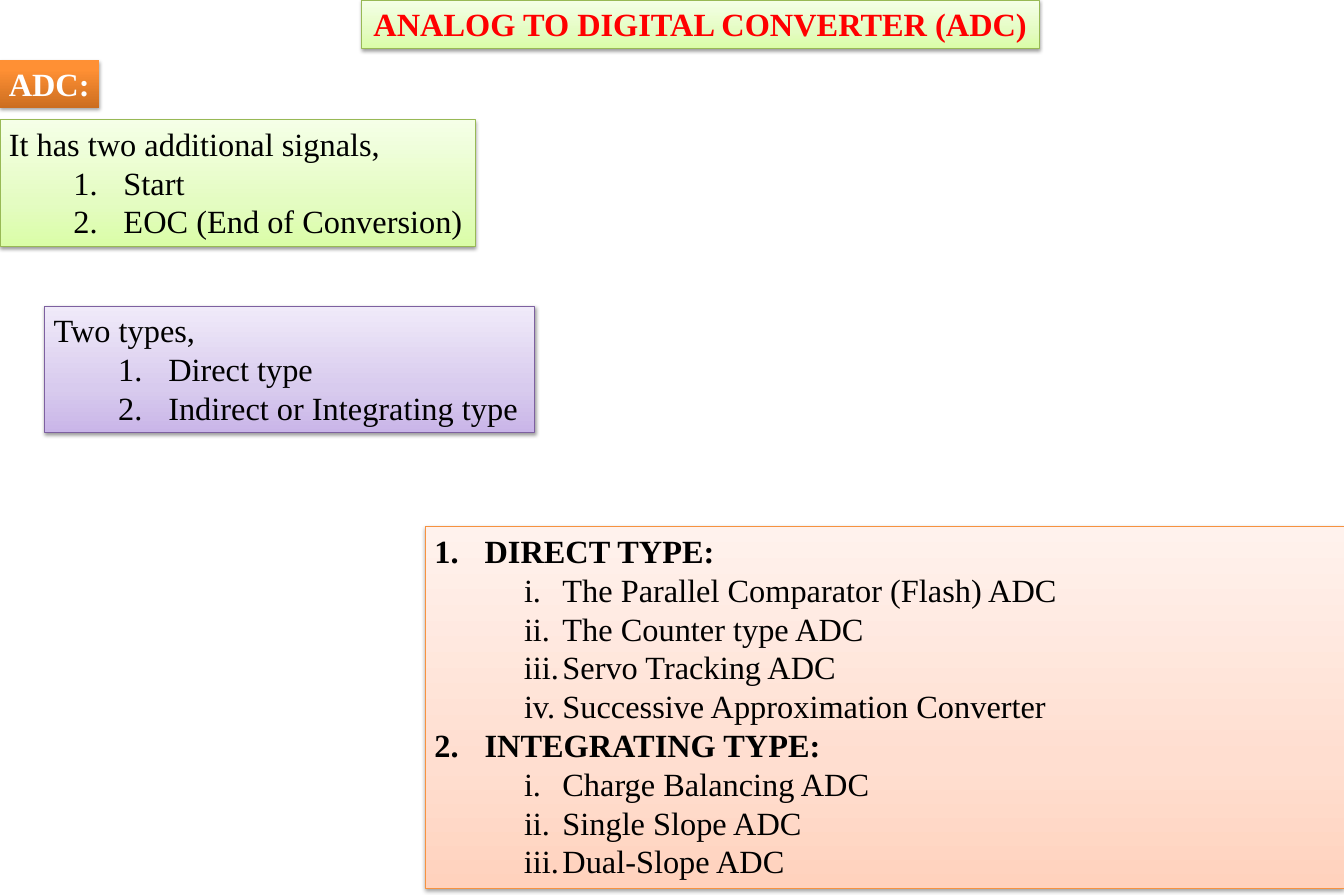
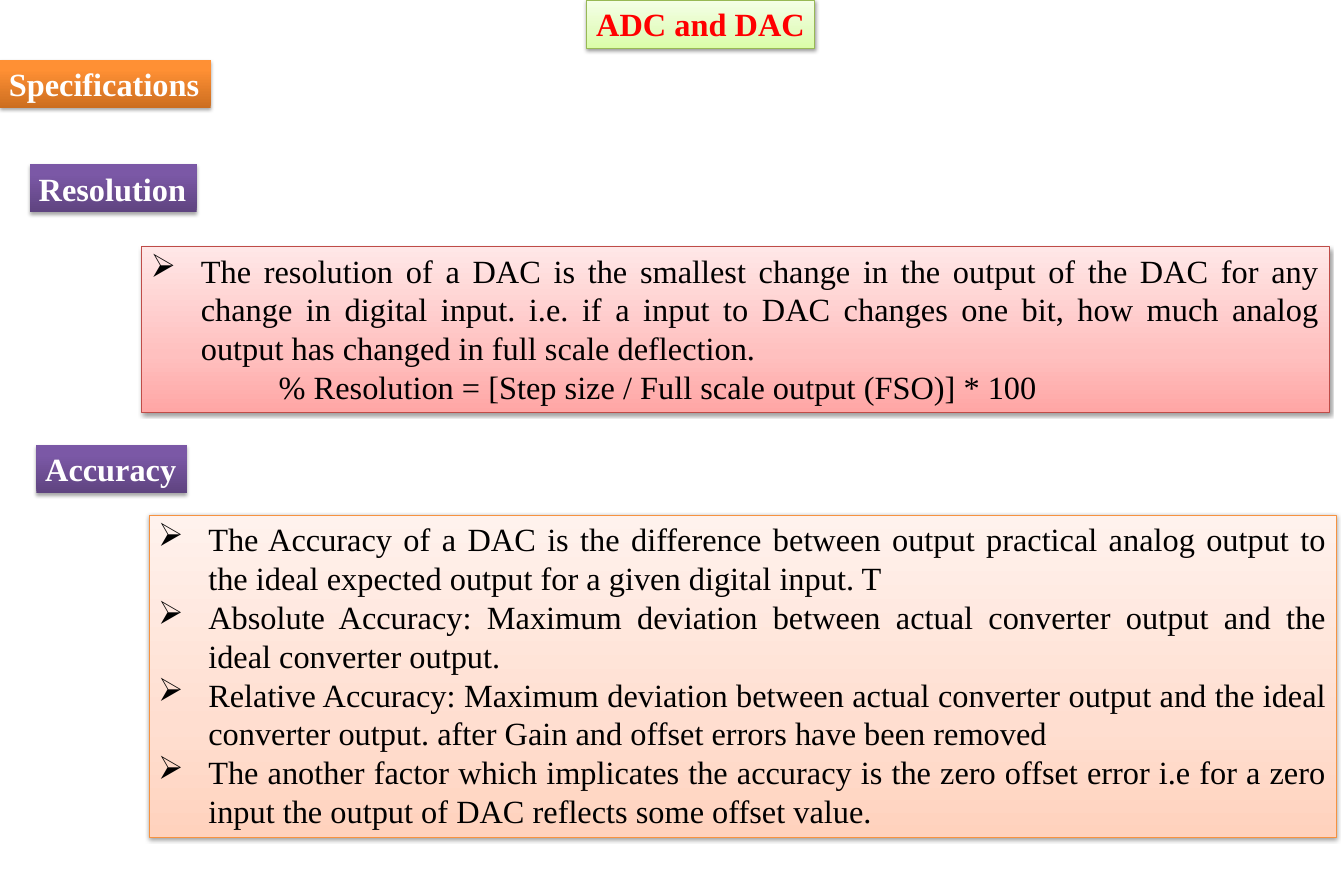
from lxml import etree
from pptx import Presentation
from pptx.dml.color import RGBColor
from pptx.enum.shapes import MSO_SHAPE
from pptx.enum.text import MSO_ANCHOR, MSO_AUTO_SIZE, PP_ALIGN
from pptx.oxml.ns import qn
from pptx.util import Pt

RECTANGLE = MSO_SHAPE.RECTANGLE
TOP = MSO_ANCHOR.TOP
GROW = MSO_AUTO_SIZE.SHAPE_TO_FIT_TEXT
LEFT, CENTER, JUSTIFY = PP_ALIGN.LEFT, PP_ALIGN.CENTER, PP_ALIGN.JUSTIFY

SLIDE_WIDTH, SLIDE_HEIGHT = 1080, 720
FONT, SIZE = "Times New Roman", 26
LINE_HEIGHT, PADDING = 31.5, 7.2
TITLE_CENTER = 563
SECTION_TOP = 48
TAB_SIZE = 102.86
BLACK, WHITE, RED = "000000", "FFFFFF", "FF0000"

LIGHT_STOPS, STRONG_STOPS = (0, 35, 100), (0, 80, 100)
LIGHT_SHADOW, STRONG_SHADOW = (38, 1.6), (35, 1.8)
GREEN = (("DAFDA7", "E4FCC2", "F5FFE7"), "98B955")
LILAC = (("C9B5E8", "D8CBEE", "F0EAF9"), "7D60A0")
PEACH = (("FFD2BD", "FFDED0", "FFF2ED"), "F69240")
PINK = (("FFA6A5", "FFC0BF", "FFE7E7"), "BF4C48")
ORANGE = (("CC6E20", "FF9034", "FF9136"), None)
PURPLE = (("5F4480", "7B58A6", "7C57A8"), None)

PLAIN = {}
NUMBERED = dict(level=1, indent=92.16, hanging=40.32, numbering="arabicPeriod")
HEADING = dict(align=JUSTIFY, bold=True, indent=40.32, hanging=40.32, numbering="arabicPeriod")
ROMAN = dict(align=JUSTIFY, indent=98.64, hanging=26.64, numbering="romanLcPeriod")
ARROW = dict(align=JUSTIFY, indent=40.32, hanging=40.32, bullet="➢")


def rgb(value):
    return RGBColor.from_string(value)


def add_child(parent, tag, **attributes):
    return etree.SubElement(parent, qn(tag), {key: str(value) for key, value in attributes.items()})


def write(paragraph, text, color=BLACK, bold=False, align=LEFT, level=0,
          indent=0, hanging=0, bullet=None, numbering=None, start=1):
    paragraph.alignment = align
    paragraph.level = level
    run = paragraph.add_run()
    run.text = text
    run.font.name = FONT
    run.font.size = Pt(SIZE)
    run.font.bold = bold
    run.font.color.rgb = rgb(color)
    properties = paragraph._p.get_or_add_pPr()
    properties.set("marL", str(Pt(indent)))
    properties.set("indent", str(-Pt(hanging)))
    properties.set("defTabSz", str(Pt(TAB_SIZE)))
    if numbering:
        number = add_child(properties, "a:buAutoNum", type=numbering)
        if start > 1:
            number.set("startAt", str(start))
    elif bullet:
        add_child(properties, "a:buChar", char=bullet)
    else:
        add_child(properties, "a:buNone")


def apply_gradient(shape, colors, positions):
    shape.fill.gradient()
    shape.fill.gradient_angle = 90
    stops = shape.element.spPr.find(qn("a:gradFill")).find(qn("a:gsLst"))
    for stop in list(stops):
        stops.remove(stop)
    for color, position in zip(colors, positions):
        add_child(add_child(stops, "a:gs", pos=position * 1000), "a:srgbClr", val=color)


def apply_shadow(shape, opacity, distance):
    shape.shadow.inherit = False
    effects = shape.element.spPr.find(qn("a:effectLst"))
    shadow = add_child(effects, "a:outerShdw", blurRad=Pt(3.1), dist=Pt(distance),
                       dir=90 * 60000, rotWithShape=0)
    add_child(add_child(shadow, "a:srgbClr", val=BLACK), "a:alpha", val=opacity * 1000)


def add_box(slide, left, top, width, lines, theme, paragraphs, wrap=False):
    colors, border = theme
    shape = slide.shapes.add_shape(RECTANGLE, Pt(left), Pt(top), Pt(width),
                                   Pt(PADDING + lines * LINE_HEIGHT))
    apply_gradient(shape, colors, LIGHT_STOPS if border else STRONG_STOPS)
    if border:
        shape.line.color.rgb = rgb(border)
        shape.line.width = Pt(0.75)
    else:
        shape.line.fill.background()
    apply_shadow(shape, *(LIGHT_SHADOW if border else STRONG_SHADOW))
    frame = shape.text_frame
    frame.word_wrap = wrap
    frame.auto_size = GROW
    frame.vertical_anchor = TOP
    for index, (text, style) in enumerate(paragraphs):
        paragraph = frame.add_paragraph() if index else frame.paragraphs[0]
        write(paragraph, text, **style)


def add_label(slide, left, top, width, theme, text):
    add_box(slide, left, top, width, 1, theme, [(text, dict(color=WHITE, bold=True))])


def add_list(slide, left, top, width, theme, intro, items):
    paragraphs = [(intro, PLAIN)] + [(item, NUMBERED) for item in items]
    add_box(slide, left, top, width, len(paragraphs), theme, paragraphs)


def add_outline(slide, left, top, width, theme, groups):
    paragraphs = []
    for number, (heading, items) in enumerate(groups, 1):
        paragraphs.append((heading, dict(HEADING, start=number)))
        paragraphs += [("\t" + item, ROMAN) for item in items]
    add_box(slide, left, top, width, len(paragraphs), theme, paragraphs, wrap=True)


def add_topic_slide(presentation, title, title_width, section, section_width):
    slide = presentation.slides.add_slide(presentation.slide_layouts[6])
    add_box(slide, TITLE_CENTER - title_width / 2, 0, title_width, 1, GREEN,
            [(title, dict(color=RED, bold=True, align=CENTER))])
    add_label(slide, 0, SECTION_TOP, section_width, ORANGE, section)
    return slide


def add_types_slide(presentation):
    slide = add_topic_slide(presentation, "ANALOG TO DIGITAL CONVERTER (ADC)", 544.4, "ADC:", 80)
    add_list(slide, 0, 96, 382.2, GREEN, "It has two additional signals,",
             ["Start", "EOC (End of Conversion)"])
    add_list(slide, 36, 246, 393.8, LILAC, "Two types,",
             ["Direct type", "Indirect or Integrating type"])
    add_outline(slide, 342, 423.2, SLIDE_WIDTH - 342, PEACH, [
        ("DIRECT TYPE:", ["The Parallel Comparator (Flash) ADC", "The Counter type ADC",
                          "Servo Tracking ADC", "Successive Approximation Converter"]),
        ("INTEGRATING TYPE:", ["Charge Balancing ADC", "Single Slope ADC", "Dual-Slope ADC"]),
    ])


def add_specifications_slide(presentation):
    slide = add_topic_slide(presentation, "ADC and DAC", 183.6, "Specifications", 169.2)
    add_label(slide, 24, 132, 134, PURPLE, "Resolution")
    add_box(slide, 114, 198, 954, 4, PINK, [
        ("The resolution of a DAC is the smallest change in the output of the DAC for any "
         "change in digital input. i.e. if a input to DAC changes one bit, how much analog "
         "output has changed in full scale deflection.", ARROW),
        ("\t% Resolution = [Step size / Full scale output (FSO)] * 100", PLAIN),
    ], wrap=True)
    add_label(slide, 29.2, 357.5, 121, PURPLE, "Accuracy")
    accuracy = [
        "The Accuracy of a DAC is the difference between output practical analog output to "
        "the ideal expected output for a given digital input. T",
        "Absolute Accuracy: Maximum deviation between actual converter output and the "
        "ideal converter output.",
        "Relative Accuracy: Maximum deviation between actual converter output and the ideal "
        "converter output. after Gain and offset errors have been removed",
        "The another factor which implicates the accuracy is the zero offset error i.e for a "
        "zero input the output of DAC reflects some offset value.",
    ]
    add_box(slide, 120, 414, 954, 8, PEACH, [(text, ARROW) for text in accuracy], wrap=True)


def main():
    presentation = Presentation()
    presentation.slide_width = Pt(SLIDE_WIDTH)
    presentation.slide_height = Pt(SLIDE_HEIGHT)
    add_types_slide(presentation)
    add_specifications_slide(presentation)
    presentation.save("out.pptx")


if __name__ == "__main__":
    main()
